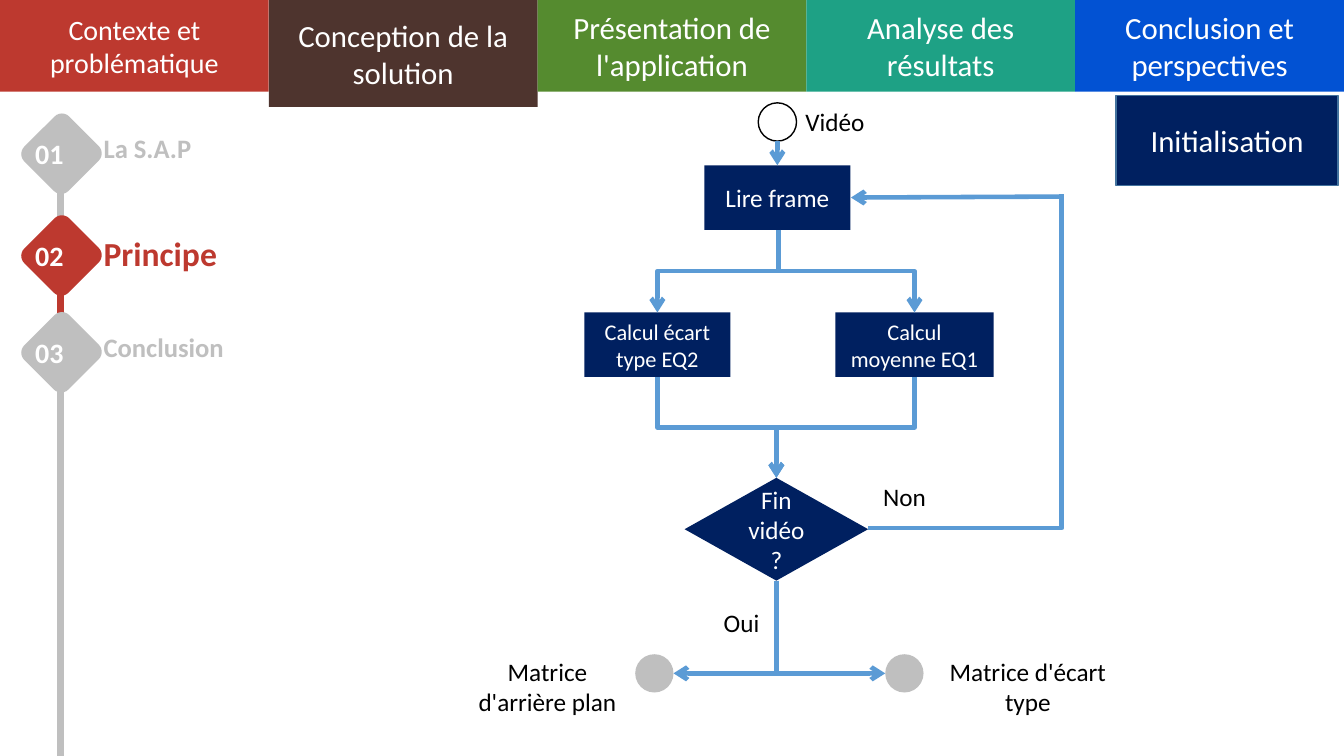
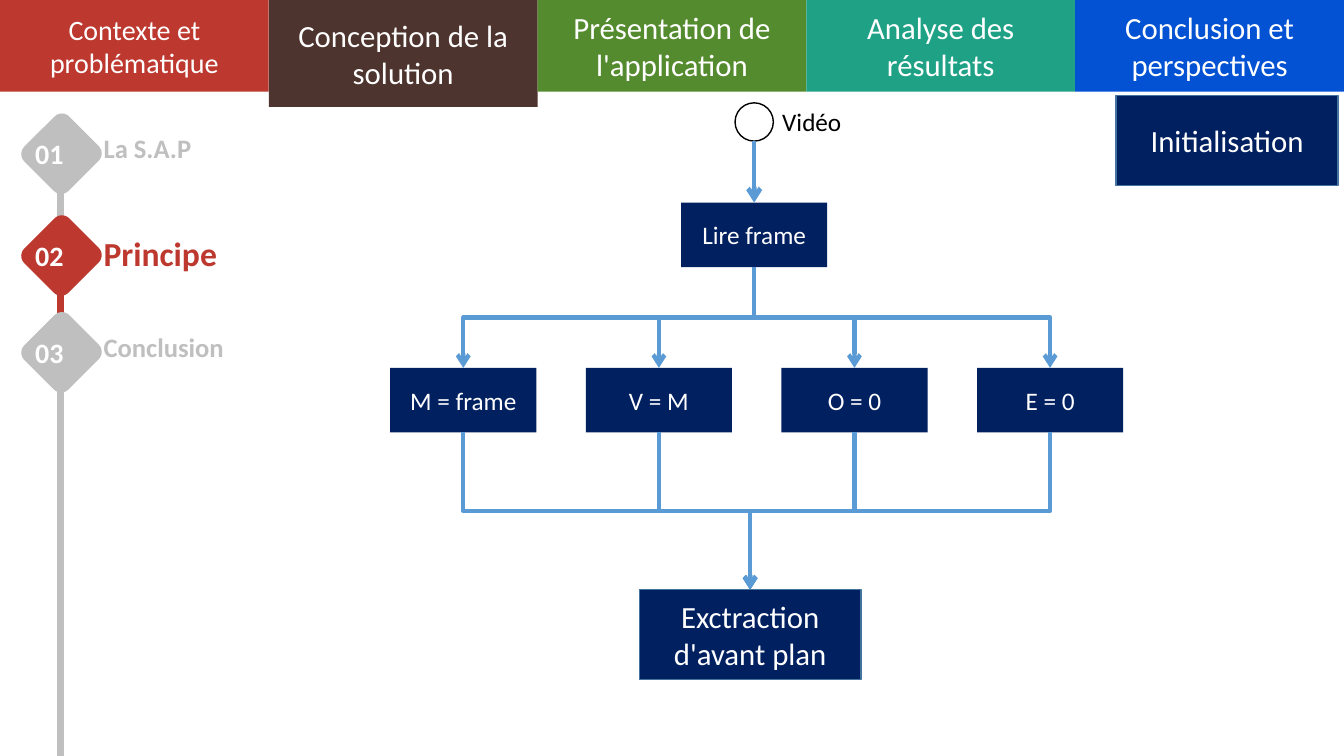
from lxml import etree
from pptx import Presentation
from pptx.dml.color import RGBColor
from pptx.enum import shapes, text
from pptx.oxml.ns import qn
from pptx.util import Inches, Pt

HUES = {
    "white": "FFFFFF", "black": "000000", "gray": "BFBFBF", "red": "BD392F",
    "brown": "4E342E", "green": "558B2F", "teal": "1EA185", "azure": "0252D3",
    "navy": "002060", "blue": "5B9BD5", "edge": "43739E",
}
FORM = shapes.MSO_SHAPE
LINK = shapes.MSO_CONNECTOR
LEFT, MID = text.PP_ALIGN.LEFT, text.PP_ALIGN.CENTER


def color(name):
    return RGBColor.from_string(HUES[name])


def put(page, words, spot, form=None, fill=None, line=None, size=18,
        hue="white", bold=False, align=MID, turn=0):
    """Place words in a preset shape, in the title or in a plain text box."""
    area = [Inches(n) for n in spot]
    if form == "title":
        item = page.shapes.title
        item.left, item.top, item.width, item.height = area
    elif form is None:
        item = page.shapes.add_textbox(*area)
    else:
        item = page.shapes.add_shape(form, *area)
    if form is not None:
        item.shadow.inherit = False
        item.rotation = turn
        item.fill.solid()
        item.fill.fore_color.rgb = color(fill)
        if line:
            item.line.color.rgb = color(line)
            item.line.width = Pt(1)
        else:
            item.line.fill.background()
    if not words:
        return
    frame = item.text_frame
    frame.word_wrap = True
    frame.auto_size = text.MSO_AUTO_SIZE.NONE
    anchor = text.MSO_ANCHOR
    frame.vertical_anchor = anchor.TOP if form is None else anchor.MIDDLE
    frame.text = words
    para = frame.paragraphs[0]
    para.alignment = align
    font = para.runs[0].font
    font.name, font.size, font.bold = "Calibri", Pt(size), bold
    font.color.rgb = color(hue)


def link(page, start, end, bends=0, turn=True, head=True, thick=3.25, hue="blue"):
    """Join two points; a turned elbow leaves its start vertically."""
    (x1, y1), (x2, y2) = start, end
    turn = turn and bends > 0
    if turn:
        # The frame is laid out sideways, then rotated about its centre
        mx, my, dx, dy = (x1 + x2) / 2, (y1 + y2) / 2, (x2 - x1) / 2, (y2 - y1) / 2
        x1, y1, x2, y2 = mx - dy, my + dx, mx + dy, my - dx
    kind = LINK.ELBOW if bends else LINK.STRAIGHT
    wire = page.shapes.add_connector(kind, *[Inches(n) for n in (x1, y1, x2, y2)])
    wire.line.color.rgb = color(hue)
    wire.line.width = Pt(thick)
    props = wire._element.spPr
    if turn:
        props.find(qn("a:xfrm")).set("rot", "5400000")
    if bends == 1:
        props.find(qn("a:prstGeom")).set("prst", "bentConnector2")
    if head:
        etree.SubElement(props.find(qn("a:ln")), qn("a:tailEnd"), type="arrow")
    etree.SubElement(props, qn("a:effectLst"))


deck = Presentation()
deck.slide_width, deck.slide_height = Inches(13.33), Inches(7.5)

# Shared content: chapter bands and steps
BANDS = [
    ("Contexte et problématique", "red", 0.91, 20),
    ("Conception de la solution", "brown", 1.06, 22),
    ("Présentation de l'application", "green", 0.91, 22),
    ("Analyse des résultats", "teal", 0.91, 22),
    ("Conclusion et perspectives", "azure", 0.91, 22),
]
BAND = 13.33 / len(BANDS)
# Number, label, colour, label size, diamond top, label top, rail ends
STEPS = [
    ("01", "La S.A.P", "gray", 19, 1.21, 1.26, 1.9, 7.19),
    ("02", "Principe", "red", 24, 2.22, 2.26, 2.72, 7.35),
    ("03", "Conclusion", "gray", 19, 3.18, 3.23, 3.69, 7.5),
]
WIDE, HIGH = 1.45, 0.64   # flow box
DOT = 0.38                # round node

pages = []
for mid, top in ((7.71, 1.64), (7.48, 2.01)):
    page = deck.slides.add_slide(deck.slide_layouts[5])
    pages.append(page)

    # Step rail
    for num, label, hue, size, y, low, head, foot in STEPS:
        put(page, "", (0.3, y, 0.62, 0.63), FORM.ROUNDED_RECTANGLE, hue, turn=45)
        link(page, (0.6, head), (0.6, foot), head=False, thick=5, hue=hue)
        put(page, label, (0.93, low, 2.4, 0.5), size=size, hue=hue,
            bold=True, align=LEFT)
    for num, *rest in STEPS:
        put(page, num, (0.18, rest[3] + 0.1, 0.62, 0.43), size=20, bold=True)

    # Chapter bands
    for i, (label, hue, tall, size) in enumerate(BANDS):
        put(page, label, (i * BAND, 0, BAND, tall), FORM.RECTANGLE, hue, size=size)
    put(page, "Initialisation", (11.07, 0.95, 2.2, 0.89), "title", "navy",
        "edge", size=22)

    # Start of the flow
    put(page, "", (mid - DOT / 2, 1.02, DOT, DOT), FORM.OVAL, "white", "black")
    put(page, "Vidéo", (mid + 0.18, 1.01, 1.43, 0.4), hue="black", align=LEFT)
    put(page, "Lire frame", (mid - WIDE / 2, top, WIDE, HIGH), FORM.RECTANGLE, "navy")
    link(page, (mid, 1.4), (mid, top))

# Slide 1: mean and deviation, looping until the video ends
page = pages[0]
for label, x, wide in (("Calcul écart type EQ2", 6.52, WIDE),
                       ("Calcul moyenne EQ1", 9.07, 1.57)):
    put(page, label, (x - wide / 2, 3.1, wide, HIGH), FORM.RECTANGLE, "navy", size=16)
    link(page, (7.72, 2.28), (x, 3.1), bends=2)
    link(page, (x, 3.74), (7.7, 4.74), bends=2)
put(page, "Fin vidéo ?", (6.79, 4.74, 1.82, 1.02), FORM.DIAMOND, "navy")
link(page, (8.61, 5.24), (10.53, 1.93), bends=1, turn=False, head=False)
link(page, (10.54, 1.95), (8.44, 1.96))
for label, x, y in (("Oui", 7.08, 5.98), ("Non", 8.66, 4.73)):
    put(page, label, (x, y, 0.74, 0.4), hue="black", align=LEFT)

# Slide 1: resulting matrices
for label, x, wide, dot, tip in (("Matrice d'arrière plan", 4.56, 1.74, 6.3, 6.68),
                                 ("Matrice d'écart type", 9.18, 2.03, 8.78, 8.78)):
    put(page, "", (dot, 6.49, DOT, DOT), FORM.OVAL, "gray")
    put(page, label, (x, 6.46, wide, 0.7), hue="black")
    link(page, (7.7, 5.76), (tip, 6.68), bends=1)

# Slide 2: four starting values feeding the extraction
page = pages[1]
for i, label in enumerate(("M = frame", "V = M", "O = 0", "E = 0")):
    x = 3.87 + i * 1.94
    mid = x + WIDE / 2
    put(page, label, (x, 3.65, WIDE, HIGH), FORM.RECTANGLE, "navy")
    link(page, (7.48, 2.65), (mid, 3.65), bends=2, thick=3)
    link(page, (mid, 4.29), (7.44, 5.85), bends=2, thick=3)
put(page, "Exctraction d'avant plan", (6.34, 5.85, 2.2, 0.89), FORM.RECTANGLE,
    "navy", "edge", size=22)

deck.save("out.pptx")
